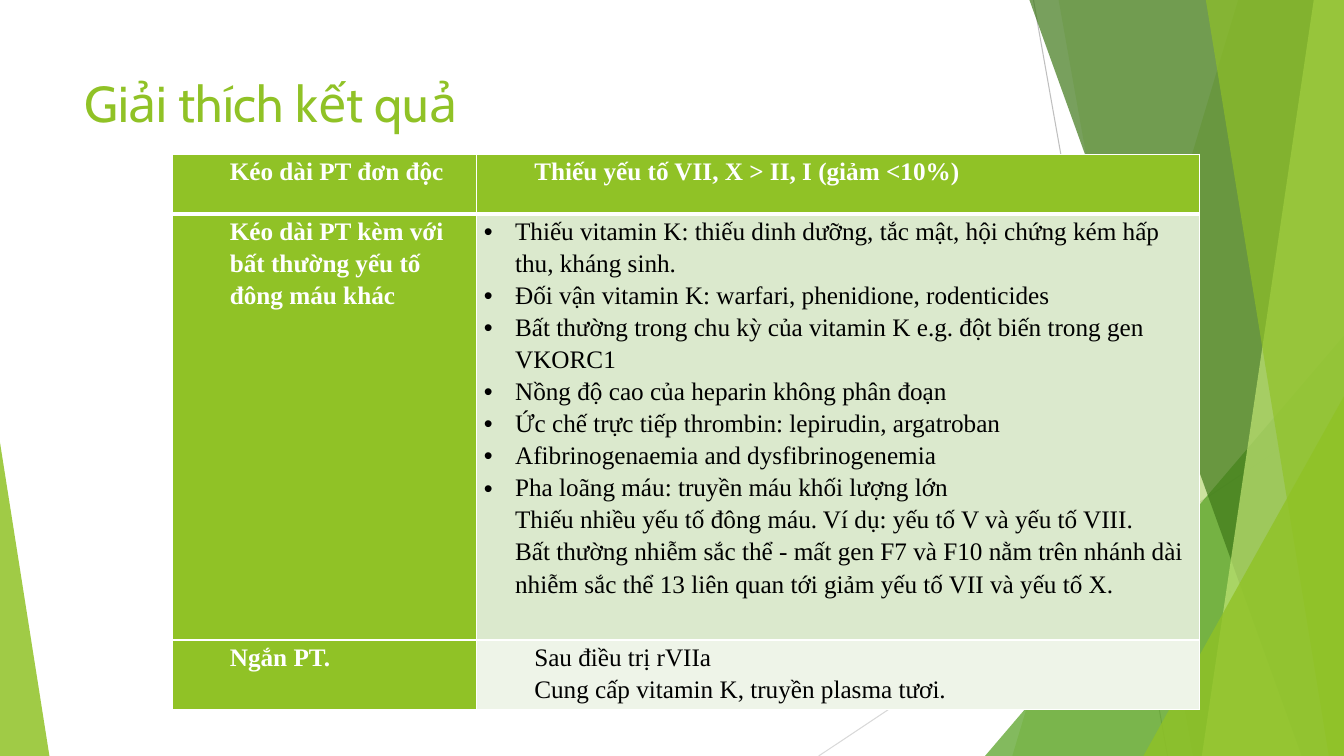
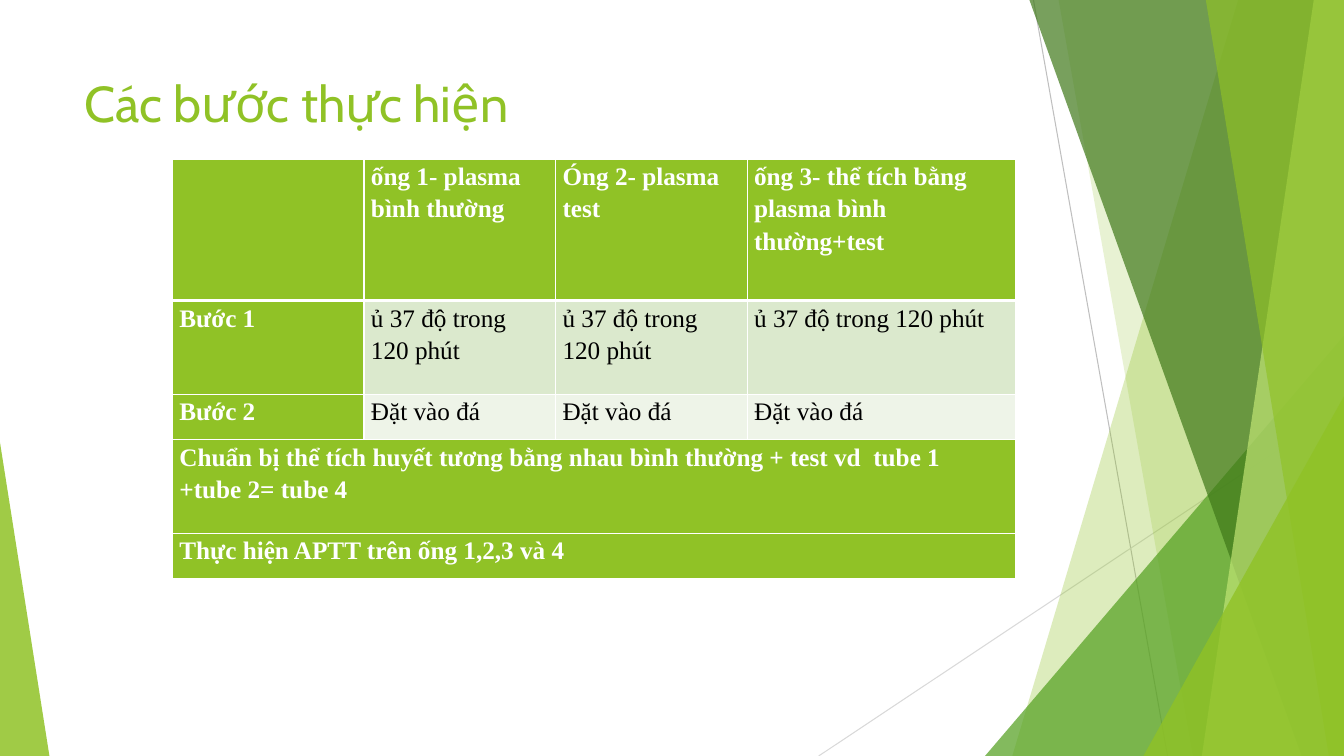
import lxml.etree
import pptx
import pptx.dml.color
import pptx.enum.shapes
import pptx.oxml.ns
import pptx.util

Inches = pptx.util.Inches
GREEN = "90C226"
LEAF = "54A021"
FOREST = "3F7819"
LIME = "C0E474"
WHITE = "FFFFFF"
BLACK = "000000"
BANDS = ["EEF4E8", "DBE9CD"]
WIDTH, HEIGHT = 13.33, 7.5


def color(value):
    return pptx.dml.color.RGBColor.from_string(value)


def apply(target, values):
    for name, value in values.items():
        setattr(target, name, value)


def add_element(parent, tag, **attributes):
    element = lxml.etree.SubElement(parent, pptx.oxml.ns.qn(tag))
    for name, value in attributes.items():
        element.set(name, str(value))
    return element


class Deck:
    title_format = {"name": "Cabin", "size": pptx.util.Pt(36)}
    cell_format = {"name": "Times New Roman", "size": pptx.util.Pt(18)}
    cell_margins = {
        "margin_left": Inches(0.07),
        "margin_right": Inches(0.07),
        "margin_top": 0,
        "margin_bottom": 0,
    }

    def __init__(self):
        self.presentation = pptx.Presentation()
        apply(self.presentation, {"slide_width": Inches(WIDTH), "slide_height": Inches(HEIGHT)})
        self.slide = None

    def add_slide(self, title):
        self.slide = self.presentation.slides.add_slide(self.presentation.slide_layouts[6])
        self.decorate()
        self.add_title(title)

    def decorate(self):
        self.add_line(10.25, 0, 11.58, HEIGHT, "BFBFBF")
        self.add_line(WIDTH, 4.03, 8.12, HEIGHT, "D9D9D9")
        self.add_band(12.28, 10.04, GREEN, 30)
        self.add_band(10.5, 11.83, GREEN, 20)
        self.add_triangle(9.77, 3.33, 3.56, 1, LEAF, 72)
        self.add_band(10.21, 12.91, FOREST, 70)
        self.add_band(13.03, 11.92, LIME, 70)
        self.add_band(11.96, 13.18, GREEN, 65)
        self.add_triangle(11.34, 3.93, 1.99, 1, GREEN, 80)
        self.add_triangle(0, 4.39, 0.49, 0, GREEN, 85)

    def add_line(self, left, top, right, bottom, line_color):
        line = self.slide.shapes.add_connector(
            pptx.enum.shapes.MSO_CONNECTOR.STRAIGHT,
            Inches(left), Inches(top), Inches(right), Inches(bottom),
        )
        line.line.width = pptx.util.Pt(0.75)
        line.line.color.rgb = color(line_color)
        add_element(line._element.spPr, "a:effectLst")

    def paint(self, shape, fill_color, opacity):
        shape.shadow.inherit = False
        shape.line.fill.background()
        shape.fill.solid()
        shape.fill.fore_color.rgb = color(fill_color)
        fill = shape._element.spPr.find(pptx.oxml.ns.qn("a:solidFill"))
        add_element(fill[0], "a:alpha", val=opacity * 1000)

    def add_band(self, top_left, bottom_left, fill_color, opacity):
        builder = self.slide.shapes.build_freeform(Inches(top_left), 0)
        corners = [(WIDTH, 0), (WIDTH, HEIGHT), (bottom_left, HEIGHT)]
        builder.add_line_segments([(Inches(x), Inches(y)) for x, y in corners])
        self.paint(builder.convert_to_shape(), fill_color, opacity)

    def add_triangle(self, left, top, width, apex, fill_color, opacity):
        triangle = self.slide.shapes.add_shape(
            pptx.enum.shapes.MSO_SHAPE.ISOSCELES_TRIANGLE,
            Inches(left), Inches(top), Inches(width), Inches(HEIGHT - top),
        )
        triangle.adjustments[0] = apex
        self.paint(triangle, fill_color, opacity)

    def add_title(self, text):
        box = self.slide.shapes.add_textbox(Inches(0.74), Inches(0.67), Inches(9.4), Inches(1.44))
        box.text_frame.word_wrap = True
        run = box.text_frame.paragraphs[0].add_run()
        run.text = text
        apply(run.font, self.title_format)
        run.font.color.rgb = color(GREEN)

    def add_table(self, left, top, widths, heights, rows, indent=0):
        table = self.slide.shapes.add_table(
            len(heights), len(widths), Inches(left), Inches(top),
            Inches(sum(widths)), Inches(sum(heights)),
        ).table
        apply(table, {"first_row": False, "horz_banding": False})
        for column, width in zip(table.columns, widths):
            column.width = Inches(width)
        for row_index, (row, height, contents) in enumerate(zip(table.rows, heights, rows)):
            row.height = Inches(height)
            merged = len(contents) < len(widths)
            for column_index, cell in enumerate(row.cells):
                heading = row_index == 0 or column_index == 0 or merged
                self.style_cell(cell, row_index, heading)
                if column_index < len(contents):
                    self.fill_cell(cell, contents[column_index], heading, indent)
            if merged:
                row.cells[0].merge(row.cells[len(widths) - 1])

    def style_cell(self, cell, row_index, heading):
        apply(cell, self.cell_margins)
        properties = cell._tc.get_or_add_tcPr()
        thick_sides = {0: "a:lnB", 1: "a:lnT"}
        for side in ["a:lnL", "a:lnR", "a:lnT", "a:lnB"]:
            points = 3 if thick_sides.get(row_index) == side else 1
            border = add_element(properties, side, w=pptx.util.Pt(points))
            add_element(add_element(border, "a:solidFill"), "a:srgbClr", val=WHITE)
        cell.fill.solid()
        cell.fill.fore_color.rgb = color(GREEN if heading else BANDS[row_index % 2])

    def fill_cell(self, cell, content, heading, indent):
        bulleted = isinstance(content, list)
        cell.text = "\n".join(content) if bulleted else content
        for paragraph in cell.text_frame.paragraphs:
            paragraph.line_spacing = 1.15
            properties = paragraph._p.get_or_add_pPr()
            properties.set("marL", str(Inches(0.31 if bulleted else indent)))
            if bulleted:
                properties.set("indent", str(Inches(-0.31)))
                add_element(properties, "a:buFont", typeface="Arial")
                add_element(properties, "a:buChar", char="•")
            for run in paragraph.runs:
                apply(run.font, {**self.cell_format, "bold": heading})
                run.font.color.rgb = color(WHITE if heading else BLACK)


def main():
    deck = Deck()
    deck.add_slide("Giải thích kết quả")
    causes = [
        "Thiếu vitamin K: thiếu dinh dưỡng, tắc mật, hội chứng kém hấp thu, kháng sinh.",
        "Đối vận vitamin K: warfari, phenidione, rodenticides",
        "Bất thường trong chu kỳ của vitamin K e.g. đột biến trong gen VKORC1",
        "Nồng độ cao của heparin không phân đoạn",
        "Ức chế trực tiếp thrombin: lepirudin, argatroban",
        "Afibrinogenaemia and dysfibrinogenemia",
        "Pha loãng máu: truyền máu khối lượng lớn\v"
        "Thiếu nhiều yếu tố đông máu. Ví dụ: yếu tố V và yếu tố VIII.\v"
        "Bất thường nhiễm sắc thể - mất gen F7 và F10 nằm trên nhánh dài "
        "nhiễm sắc thể 13 liên quan tới giảm yếu tố VII và yếu tố X.",
    ]
    interpretation = [
        ["Kéo dài PT đơn độc", "Thiếu yếu tố VII, X > II, I (giảm <10%)"],
        ["Kéo dài PT kèm với bất thường yếu tố đông máu khác", causes],
        ["Ngắn PT.", "Sau điều trị rVIIa\nCung cấp vitamin K, truyền plasma tươi."],
    ]
    deck.add_table(1.71, 1.53, [3.02, 7.17], [0.59, 4.23, 0.63], interpretation, indent=0.5)

    deck.add_slide("Các bước thực hiện")
    steps = [
        ["", "ống 1- plasma bình thường", "Óng 2- plasma test",
         "ống 3- thể tích bằng plasma bình thường+test"],
        ["Bước 1"] + ["ủ 37 độ trong 120 phút"] * 3,
        ["Bước 2"] + ["Đặt vào đá"] * 3,
        ["Chuẩn bị thể tích huyết tương bằng nhau bình thường + test vd  tube 1 +tube 2= tube 4"],
        ["Thực hiện APTT trên ống 1,2,3 và 4"],
    ]
    deck.add_table(1.71, 1.58, [1.9, 1.9, 1.9, 2.66], [1.4, 0.93, 0.45, 0.93, 0.45], steps)
    deck.presentation.save("out.pptx")


if __name__ == "__main__":
    main()
